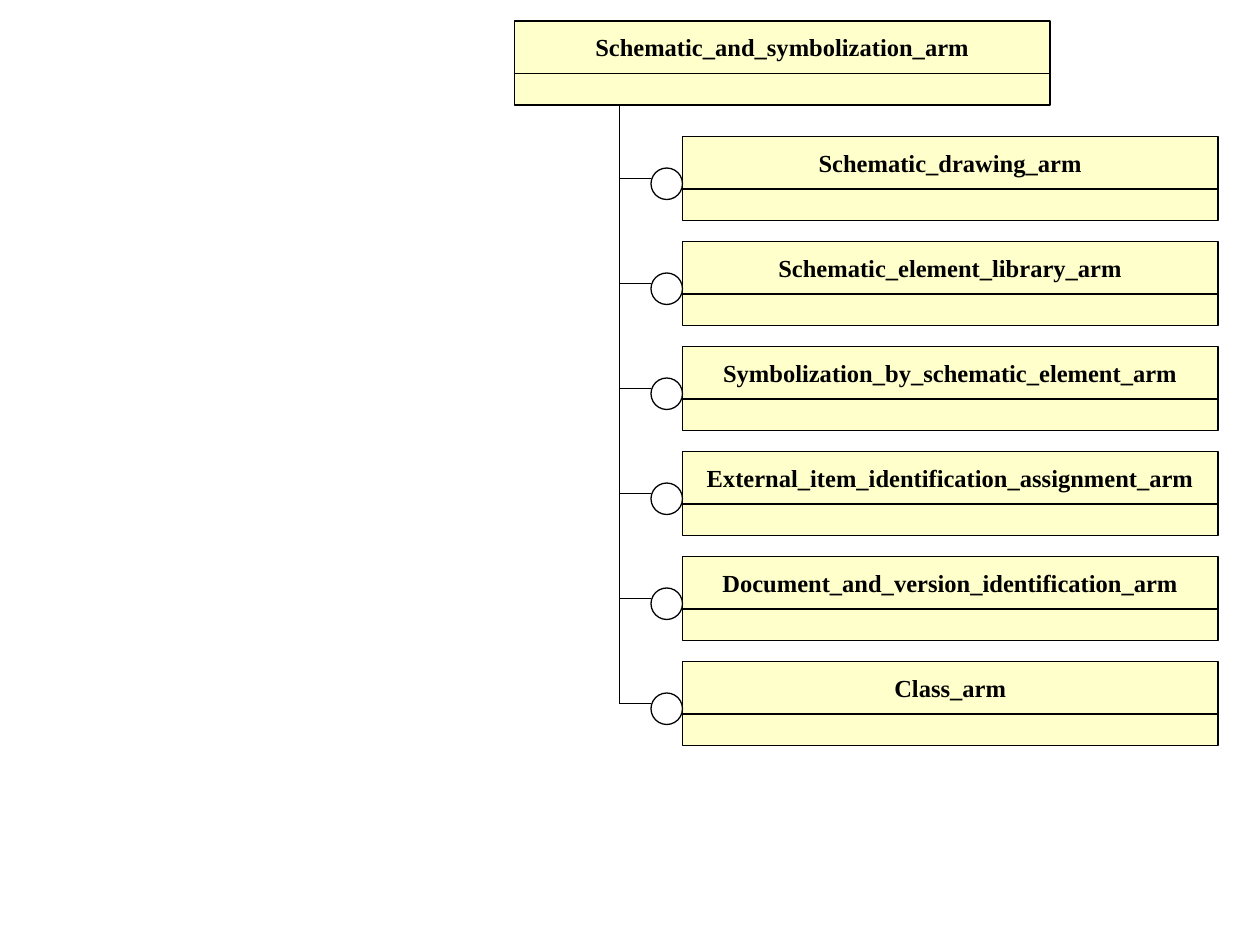
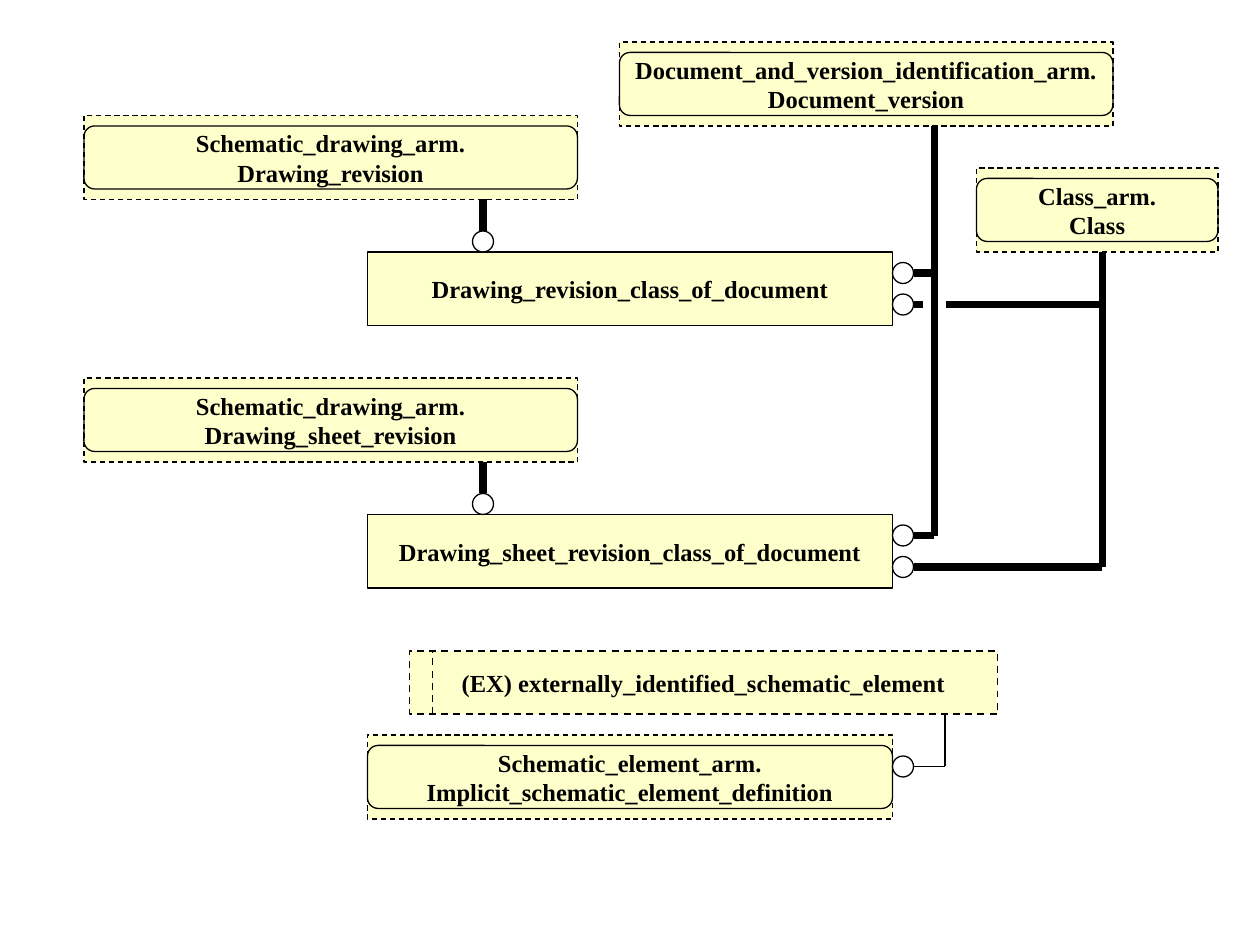
from lxml import etree
from pptx import Presentation
from pptx.dml.color import RGBColor
from pptx.enum.dml import MSO_LINE
from pptx.enum.shapes import MSO_CONNECTOR, MSO_SHAPE
from pptx.enum.text import MSO_ANCHOR, PP_ALIGN
from pptx.oxml.ns import qn
from pptx.util import Cm, Pt

RECTANGLE = MSO_SHAPE.RECTANGLE
ROUNDED = MSO_SHAPE.ROUNDED_RECTANGLE
OVAL = MSO_SHAPE.OVAL
STRAIGHT = MSO_CONNECTOR.STRAIGHT
DASH = MSO_LINE.DASH
CENTER = PP_ALIGN.CENTER
MIDDLE = MSO_ANCHOR.MIDDLE

COLORS = {"box": "FFFFCC", "ink": "000000", "paper": "FFFFFF"}
FONT = "Times New Roman"
THIN, MEDIUM, THICK = 0.75, 1, 4.5
TOP_SITE = 0
BLANK_LAYOUT = 6

IMPORTED_SCHEMAS = [
    "Schematic_drawing_arm",
    "Schematic_element_library_arm",
    "Symbolization_by_schematic_element_arm",
    "External_item_identification_assignment_arm",
    "Document_and_version_identification_arm",
    "Class_arm",
]


def grid(units):
    """Length of a number of grid units, twelve to the inch."""
    return Cm(2.54 * units / 12)


def color(name):
    return RGBColor.from_string(COLORS[name])


def write_text(shape, text, size=14, bold=True, font=FONT, ink="ink"):
    frame = shape.text_frame
    frame.word_wrap = False
    frame.vertical_anchor = MIDDLE
    frame.text = text
    for paragraph in frame.paragraphs:
        paragraph.alignment = CENTER
        paragraph.font.size = Pt(size)
        paragraph.font.bold = bold
        paragraph.font.name = font
        paragraph.font.color.rgb = color(ink)


def format_line(line, weight=THIN, dash=None, ink="ink"):
    line.color.rgb = color(ink)
    line.width = Pt(weight)
    if dash is not None:
        line.dash_style = dash


def add_box(shapes, left, top, width, height, kind=RECTANGLE, fill="box", text="", **line_format):
    shape = shapes.add_shape(kind, grid(left), grid(top), grid(width), grid(height))
    shape.shadow.inherit = False
    if fill:
        shape.fill.solid()
        shape.fill.fore_color.rgb = color(fill)
    else:
        shape.fill.background()
    format_line(shape.line, **line_format)
    if text:
        write_text(shape, text)
    return shape


def add_line(shapes, x1, y1, x2, y2, **line_format):
    connector = shapes.add_connector(STRAIGHT, grid(x1), grid(y1), grid(x2), grid(y2))
    format_line(connector.line, **line_format)
    etree.SubElement(connector._element.spPr, qn("a:effectLst"))
    return connector


def add_circle(shapes, left, top, diameter):
    return add_box(shapes, left, top, diameter, diameter, kind=OVAL, fill="paper")


def add_schema(slide, left, top, name):
    """Schema box: a name compartment above an empty one."""
    shapes = slide.shapes.add_group_shape().shapes
    add_box(shapes, left, top, 51, 5, text=name)
    add_box(shapes, left, top + 5, 51, 3)


def add_reference(slide, left, top, width, schema, entity):
    """Entity of another schema: a rounded outline in a dashed box."""
    shapes = slide.shapes.add_group_shape().shapes
    add_box(shapes, left, top, width, 8, text=f"{schema}.\n{entity}", dash=DASH)
    outline = add_box(shapes, left, top + 1, width, 6, kind=ROUNDED, fill=None)
    outline.adjustments[0] = 0.17


def add_entity(slide, top, name):
    """Entity box with the supertype attribute that comes down onto it."""
    add_box(slide.shapes, 35, top, 50, 7, text=name)
    circle = add_circle(slide.shapes, 45, top - 2, 2)
    link = add_line(slide.shapes, 46, top - 2, 46, top - 5, weight=THICK)
    link.begin_connect(circle, TOP_SITE)


def add_attribute(slide, y, end_x, weight=THICK):
    """Circle on the right side of an entity, with a line to end_x."""
    add_circle(slide.shapes, 85, y - 1, 2)
    add_line(slide.shapes, 87, y, end_x, y, weight=weight)


def add_select_type(slide, left, top, width, height, name):
    shapes = slide.shapes.add_group_shape().shapes
    add_box(shapes, left, top, width, height, text=name, weight=MEDIUM, dash=DASH)
    divider = left + 2.2
    add_line(shapes, divider, top + height, divider, top, weight=MEDIUM, dash=DASH)


def build_schema_slide(slide):
    trunk_x, circle_left, schema_left = 59, 62, 65
    add_schema(slide, 49, 2, "Schematic_and_symbolization_arm")
    tops = [13 + 10 * index for index in range(len(IMPORTED_SCHEMAS))]
    add_line(slide.shapes, trunk_x, tops[-1] + 4, trunk_x, 10)
    for top, name in zip(tops, IMPORTED_SCHEMAS):
        add_schema(slide, schema_left, top, name)
        add_circle(slide.shapes, circle_left, top + 3, 3)
        add_line(slide.shapes, trunk_x, top + 4, circle_left, top + 4)


def build_entity_slide(slide):
    document_x, class_x, select_x = 89, 105, 90
    add_reference(slide, 59, 4, 47, "Document_and_version_identification_arm", "Document_version")
    add_reference(slide, 93, 16, 23, "Class_arm", "Class")

    for top, entity in ((24, "Drawing_revision"), (49, "Drawing_sheet_revision")):
        add_reference(slide, 8, top - 13, 47, "Schematic_drawing_arm", entity)
        add_entity(slide, top, f"{entity}_class_of_document")
        add_attribute(slide, top + 2, document_x)
        add_attribute(slide, top + 5, class_x)

    add_line(slide.shapes, class_x, 54, class_x, 24, weight=THICK)
    add_box(slide.shapes, document_x - 1, 28, 2, 2, fill="paper", ink="paper")
    add_line(slide.shapes, document_x, 51, document_x, 12, weight=THICK)

    add_select_type(slide, 39, 62, 56, 6, "(EX) externally_identified_schematic_element")
    add_reference(slide, 35, 70, 50, "Schematic_element_arm", "Implicit_schematic_element_definition")
    add_attribute(slide, 73, select_x, weight=THIN)
    add_line(slide.shapes, select_x, 73, select_x, 68)


def main():
    presentation = Presentation()
    presentation.slide_width = Cm(25.4)
    presentation.slide_height = Cm(19.05)
    layout = presentation.slide_layouts[BLANK_LAYOUT]
    for build in (build_schema_slide, build_entity_slide):
        build(presentation.slides.add_slide(layout))
    presentation.save("out.pptx")


if __name__ == "__main__":
    main()
